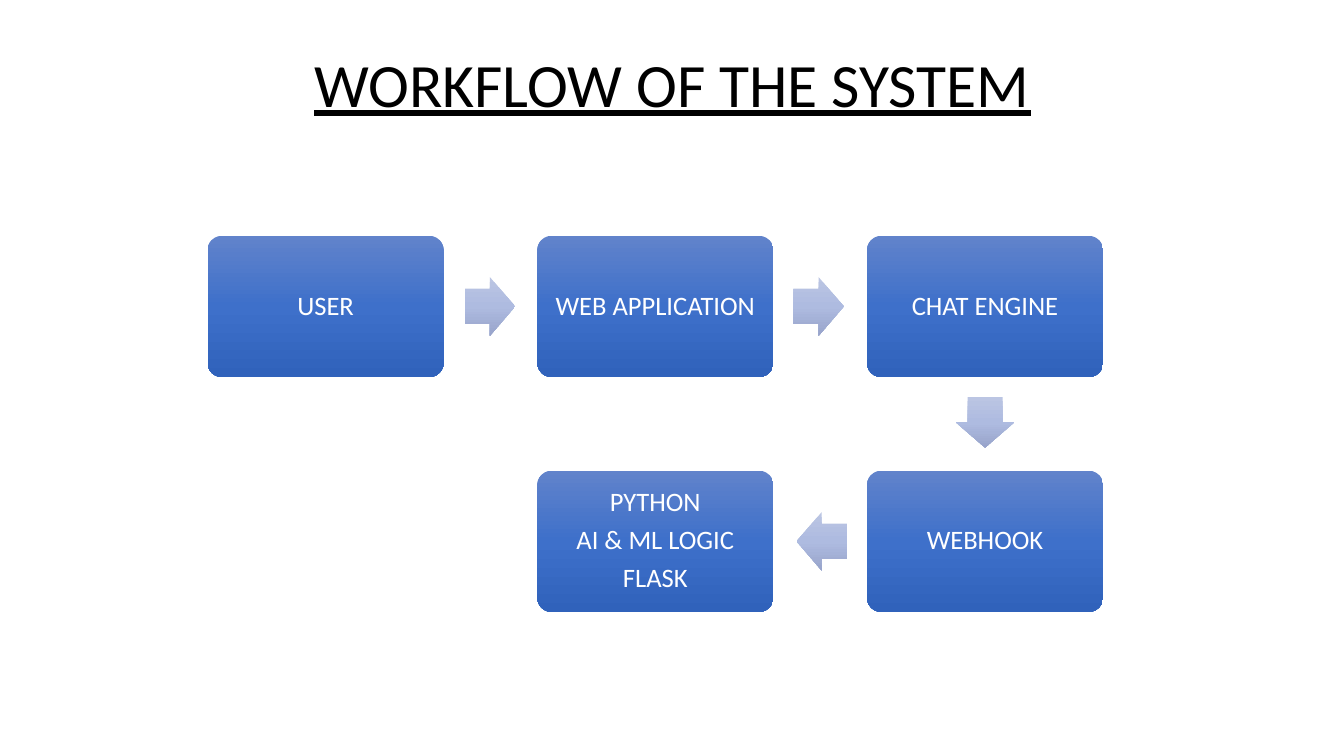
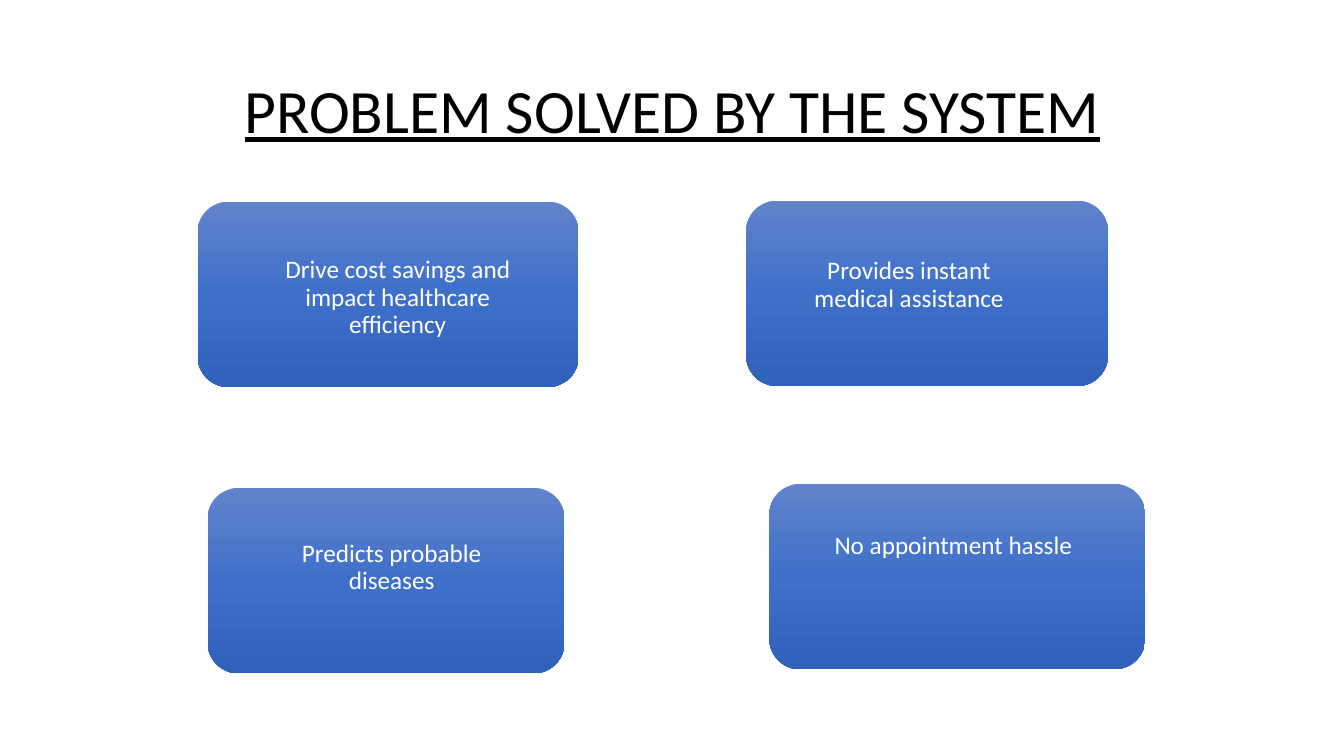
from copy import deepcopy
from pptx import Presentation
from pptx.dml.color import RGBColor
from pptx.enum.shapes import MSO_SHAPE
from pptx.enum.text import MSO_ANCHOR, PP_ALIGN
from pptx.oxml.ns import qn
from pptx.util import Inches, Pt

ROUND, ARROW = MSO_SHAPE.ROUNDED_RECTANGLE, MSO_SHAPE.RIGHT_ARROW
TOP, MIDDLE = MSO_ANCHOR.TOP, MSO_ANCHOR.MIDDLE
CENTER = PP_ALIGN.CENTER
BLACK = RGBColor(0x00, 0x00, 0x00)
WHITE = RGBColor(0xFF, 0xFF, 0xFF)
BLUES = [RGBColor(0x61, 0x83, 0xCB), RGBColor(0x3E, 0x70, 0xCA), RGBColor(0x30, 0x62, 0xBB)]
PALES = [RGBColor(0xBB, 0xC5, 0xE3), RGBColor(0xAE, 0xBB, 0xE0), RGBColor(0x98, 0xA4, 0xCB)]
FONT = "Calibri"

deck = Presentation()
deck.slide_width, deck.slide_height = Inches(13.33), Inches(7.5)
blank = deck.slide_layouts[6]


def draw(slide, kind, box, tones, adjust):
    shape = slide.shapes.add_shape(kind, *map(Inches, box))
    shape.shadow.inherit = False
    shape.line.fill.background()
    for i, value in enumerate(adjust):
        shape.adjustments[i] = value
    shape.fill.gradient()
    shape.fill.gradient_angle = 270
    grad = shape._element.spPr.find(qn("a:gradFill"))
    grad.set("rotWithShape", "0")
    stops = grad.find(qn("a:gsLst"))
    stops.append(deepcopy(stops[-1]))
    for i, stop in enumerate(shape.fill.gradient_stops):
        stop.position = i / 2
        stop.color.rgb = tones[i]
    return shape


def write(shape, lines, size, color, pads, anchor=MIDDLE, after=0, under=None):
    frame = shape.text_frame
    frame.word_wrap = True
    frame.vertical_anchor = anchor
    (frame.margin_left, frame.margin_top,
     frame.margin_right, frame.margin_bottom) = map(Inches, pads)
    for i, line in enumerate(lines):
        para = frame.add_paragraph() if i else frame.paragraphs[0]
        para.alignment = CENTER
        para.line_spacing = 0.9
        para.space_after = Pt(after)
        run = para.add_run()
        run.text = line
        run.font.name = FONT
        run.font.size = Pt(size)
        run.font.color.rgb = color
        run.font.underline = under


pages = []
for title, top, high in [
    ("WORKFLOW OF THE SYSTEM", 0.25, 1.23),
    ("PROBLEM SOLVED BY THE SYSTEM", 0.4, 1.45),
]:
    page = deck.slides.add_slide(blank)
    head = page.shapes.add_textbox(*map(Inches, (0.92, top, 11.5, high)))
    write(head, [title], 44, BLACK, (0.1, 0.05, 0.1, 0.05), under=True)
    pages.append(page)
flow, gains = pages

LEFT, UPPER = 2.06, 2.34
STEP_X, STEP_Y = 3.27, 2.33
WIDE, HIGH = 2.34, 1.4
for col, row, lines in [
    (0, 0, ["USER"]),
    (1, 0, ["WEB APPLICATION"]),
    (2, 0, ["CHAT ENGINE"]),
    (2, 1, ["WEBHOOK"]),
    (1, 1, ["PYTHON", "AI & ML LOGIC", "FLASK"]),
]:
    box = LEFT + col * STEP_X, UPPER + row * STEP_Y, WIDE, HIGH
    step = draw(flow, ROUND, box, BLUES, [0.1])
    write(step, lines, 19, WHITE, [0.12] * 4, after=6.65)

for x, y, turn in [(4.61, 2.75, 0), (7.87, 2.75, 0), (9.52, 3.9, 90), (7.9, 5.08, 180)]:
    arrow = draw(flow, ARROW, (x, y, 0.5, 0.58), PALES, [0.6, 0.5])
    arrow.rotation = turn

for x, y, wide, text_x, text_y, text in [
    (1.96, 2, 3.78, 2.61, 2.41, "Drive cost savings and impact healthcare efficiency"),
    (7.4, 1.99, 3.59, 7.68, 2.42, "Provides instant medical assistance"),
    (2.06, 4.84, 3.54, 2.55, 5.22, "Predicts probable diseases"),
    (7.63, 4.8, 3.73, 8.12, 5.14, "No appointment hassle"),
]:
    draw(gains, ROUND, (x, y, wide, 1.84), BLUES, [])
    label = gains.shapes.add_textbox(*map(Inches, (text_x, text_y, 2.67, 0.99)))
    write(label, [text], 18, WHITE, (0.14, 0.14, 0.14, 0), TOP, 6.3)

deck.save("out.pptx")
